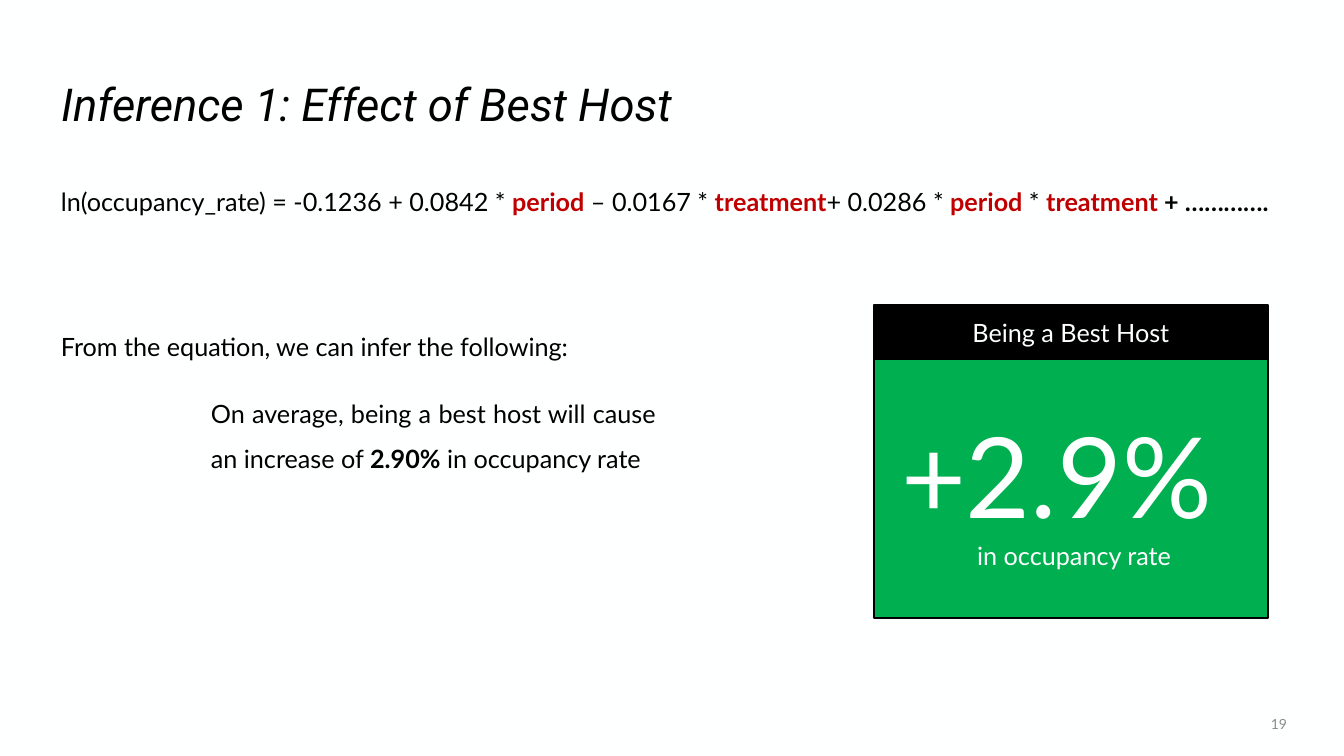
from dataclasses import dataclass
from pptx import Presentation
from pptx.dml.color import RGBColor
from pptx.enum.shapes import MSO_SHAPE
from pptx.enum.text import MSO_ANCHOR, MSO_AUTO_SIZE, PP_ALIGN
from pptx.util import Emu, Pt


@dataclass(frozen=True)
class Theme:
    background: str = "FEFFFF"
    ink: str = "000000"
    variable: str = "C00000"
    gain: str = "00B050"
    muted: str = "8C8C8C"
    heading_font: str = "Roboto"
    body_font: str = "Lato"
    title_size: float = 32.4
    body_size: int = 18
    figure_size: int = 80
    number_size: int = 10


THEME = Theme()
EMU_PER_PX = 914400 / 100.8

TITLE = "Inference 1: Effect of Best Host"
PERIOD = ("period", True, THEME.variable)
TREATMENT = ("treatment", True, THEME.variable)
EQUATION = [
    ("ln(occupancy_rate) = -0.1236 + 0.0842 * ",), PERIOD,
    (" – 0.0167 * ",), TREATMENT,
    ("+ 0.0286 * ",), PERIOD, (" * ",), TREATMENT,
    (" + ………….", True),
]
LEAD_IN = [("From the equation, we can infer the following:",)]
FINDING = [
    ("On average, being a best host will cause an increase of ",),
    ("2.90%", True),
    (" in occupancy rate ",),
]
CARD_HEADING = "Being a Best Host"
CARD_FIGURE = "+2.9% "
CARD_CAPTION = " in occupancy rate"
SLIDE_NUMBER = "19"

MARGIN = 51
CARD_LEFT, CARD_TOP, CARD_WIDTH = 874, 305, 394
HEADING_HEIGHT, FIGURE_HEIGHT = 54, 259


def px(*lengths):
    return [Emu(round(length * EMU_PER_PX)) for length in lengths]


def add_run(paragraph, text, bold=False, color=THEME.ink,
            size=THEME.body_size, name=THEME.body_font, italic=False):
    run = paragraph.add_run()
    run.text = text
    run.font.name = name
    run.font.size = Pt(size)
    run.font.bold = bold
    run.font.italic = italic
    run.font.color.rgb = RGBColor.from_string(color)


def add_text(slide, box, runs, alignment=PP_ALIGN.LEFT, spacing=1.0,
             anchor=MSO_ANCHOR.TOP):
    frame = slide.shapes.add_textbox(*px(*box)).text_frame
    frame.word_wrap = True
    frame.vertical_anchor = anchor
    paragraph = frame.paragraphs[0]
    paragraph.alignment = alignment
    paragraph.line_spacing = spacing
    for run in runs:
        add_run(paragraph, *run)


def add_card_part(slide, top, height, fill, lines):
    box = px(CARD_LEFT, top, CARD_WIDTH, height)
    shape = slide.shapes.add_shape(MSO_SHAPE.RECTANGLE, *box)
    shape.shadow.inherit = False
    shape.fill.solid()
    shape.fill.fore_color.rgb = RGBColor.from_string(fill)
    shape.line.color.rgb = RGBColor.from_string(THEME.ink)
    shape.line.width = Pt(1)
    frame = shape.text_frame
    frame.vertical_anchor = MSO_ANCHOR.MIDDLE
    for index, (text, size) in enumerate(lines):
        paragraph = frame.add_paragraph() if index else frame.paragraphs[0]
        paragraph.alignment = PP_ALIGN.CENTER
        add_run(paragraph, text, color=THEME.background, size=size)


def add_title(slide):
    title = slide.shapes.title
    title.left, title.top, title.width, title.height = px(MARGIN, 74, 1242, 65)
    frame = title.text_frame
    frame.auto_size = MSO_AUTO_SIZE.NONE
    frame.vertical_anchor = MSO_ANCHOR.MIDDLE
    paragraph = frame.paragraphs[0]
    paragraph.alignment = PP_ALIGN.LEFT
    paragraph.line_spacing = 0.9
    add_run(paragraph, TITLE, size=THEME.title_size,
            name=THEME.heading_font, italic=True)


def main():
    presentation = Presentation()
    presentation.slide_width, presentation.slide_height = px(1344, 756)
    slide = presentation.slides.add_slide(presentation.slide_layouts[5])
    slide.background.fill.solid()
    slide.background.fill.fore_color.rgb = RGBColor.from_string(THEME.background)

    add_title(slide)
    add_text(slide, (1163, 706, 134, 35),
             [(SLIDE_NUMBER, False, THEME.muted, THEME.number_size)],
             PP_ALIGN.RIGHT, anchor=MSO_ANCHOR.MIDDLE)
    add_text(slide, (MARGIN, 181, 1247, 40), EQUATION)
    add_text(slide, (MARGIN, 326, 541, 40), LEAD_IN)
    add_text(slide, (201, 378, 465, 96), FINDING, PP_ALIGN.JUSTIFY, 1.5)
    add_card_part(slide, CARD_TOP, HEADING_HEIGHT, THEME.ink,
                  [(CARD_HEADING, THEME.body_size)])
    add_card_part(slide, CARD_TOP + HEADING_HEIGHT, FIGURE_HEIGHT, THEME.gain,
                  [(CARD_FIGURE, THEME.figure_size),
                   (CARD_CAPTION, THEME.body_size)])
    presentation.save("out.pptx")


if __name__ == "__main__":
    main()
